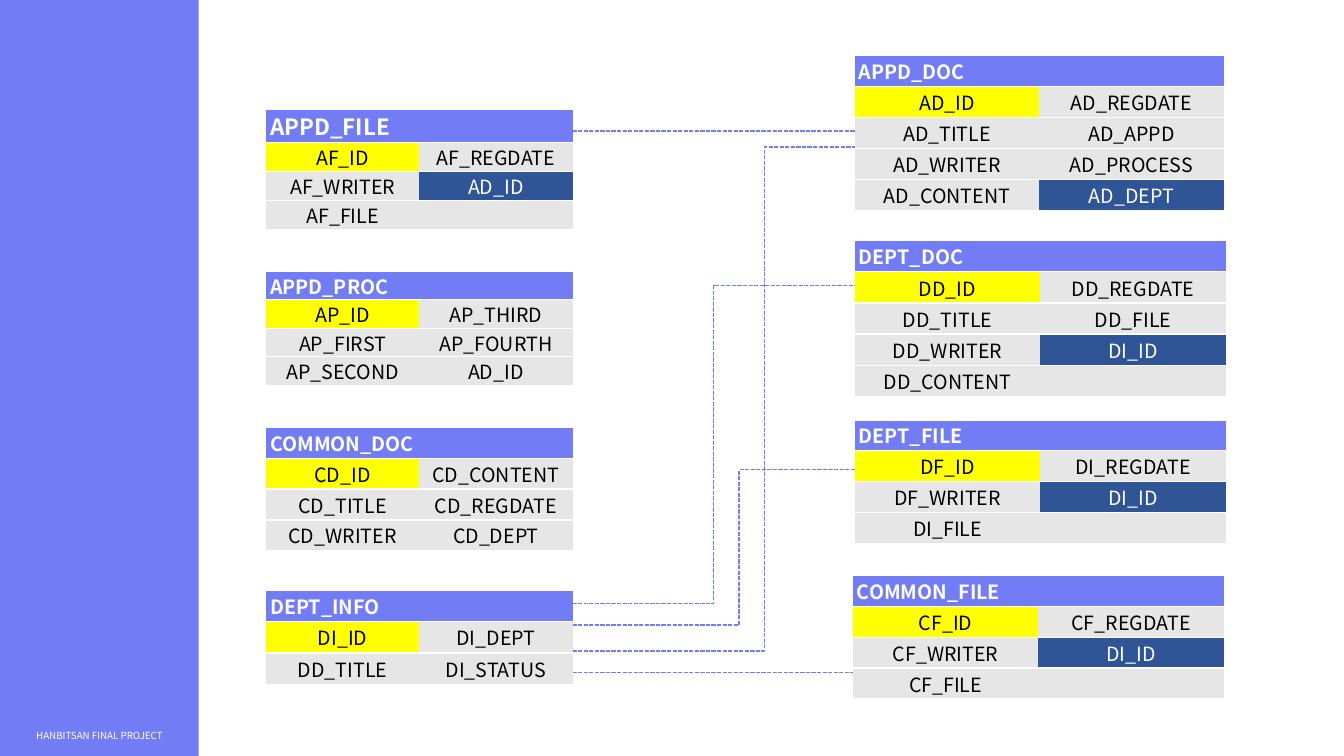
from lxml.etree import SubElement
from pptx import Presentation
from pptx.dml.color import RGBColor
from pptx.enum.dml import MSO_LINE
from pptx.enum.shapes import MSO_CONNECTOR as LINK, MSO_SHAPE as SHAPE
from pptx.enum.text import MSO_ANCHOR as ANCHOR, PP_ALIGN as ALIGN
from pptx.oxml import parse_xml
from pptx.oxml.ns import nsdecls, qn
from pptx.util import Pt

FONT = "Noto Sans CJK KR"
ACCENT, KEY, FOREIGN, PLAIN = "727CF4", "FFFF00", "2F5597", "E7E6E6"
WHITE, BLACK = "FFFFFF", "000000"

# Box, heading size, header height, name and rows; "*" marks a foreign key.
ENTITIES = [
    ((190, 77.8, 219, 86.3), 16, 23.8, "APPD_FILE",
     "AF_ID AF_REGDATE, AF_WRITER *AD_ID, AF_FILE"),
    ((190, 193.7, 219, 81.6), 14, 20.4, "APPD_PROC",
     "AP_ID AP_THIRD, AP_FIRST AP_FOURTH, AP_SECOND AD_ID"),
    ((190, 305.3, 219, 88.2), 14, 22.05, "COMMON_DOC",
     "CD_ID CD_CONTENT, CD_TITLE CD_REGDATE, CD_WRITER CD_DEPT"),
    ((190, 421.6, 219, 67.2), 14, 22.4, "DEPT_INFO",
     "DI_ID DI_DEPT, DD_TITLE DI_STATUS"),
    ((610.6, 39.5, 263.6, 110.8), 14, 22.15, "APPD_DOC",
     "AD_ID AD_REGDATE, AD_TITLE AD_APPD, AD_WRITER AD_PROCESS, AD_CONTENT *AD_DEPT"),
    ((610.6, 172, 265, 111), 14, 22.2, "DEPT_DOC",
     "DD_ID DD_REGDATE, DD_TITLE DD_FILE, DD_WRITER *DI_ID, DD_CONTENT"),
    ((610.6, 300, 265, 88), 14, 22, "DEPT_FILE",
     "DF_ID DI_REGDATE, DF_WRITER *DI_ID, DI_FILE"),
    ((609.2, 411.2, 265, 88), 14, 22, "COMMON_FILE",
     "CF_ID CF_REGDATE, CF_WRITER *DI_ID, CF_FILE"),
]
# Start y, end x, end y and, for a bent link, the share of the way to the bend.
LINKS = [
    (465, 610.6, 105, 0.68),
    (446.4, 610.6, 335.5, 0.59),
    (431.3, 610.6, 203.8, 0.5),
    (480.2, 610.6, 480.2, None),
    (93.6, 621.4, 93.6, None),
]


def color(code):
    """Turn a hex string into a colour."""
    return RGBColor.from_string(code)


def write(frame, text, size=14, ink=BLACK, bold=False, align=ALIGN.CENTER):
    """Write one formatted paragraph; an empty one only keeps its size."""
    para = frame.paragraphs[0]
    para.alignment = align
    if not text:
        SubElement(para._p, qn("a:endParaRPr"), sz=str(size * 100))
        return
    span = para.add_run()
    span.text = text
    span.font.name, span.font.size, span.font.bold = FONT, Pt(size), bold
    span.font.color.rgb = color(ink)
    props = span.font._element
    SubElement(props, qn("a:ea"), typeface=FONT)


def add_sidebar(page, left, top, width, height):
    """Draw the side panel with the project name at its foot."""
    panel = page.shapes.add_shape(SHAPE.RECTANGLE, Pt(left), Pt(top), Pt(width), Pt(height))
    panel.shadow.inherit = False
    panel.fill.solid()
    panel.fill.fore_color.rgb = color(ACCENT)
    panel.line.fill.background()
    foot = 28.8
    box = page.shapes.add_textbox(Pt(left), Pt(top + height - foot), Pt(width), Pt(foot))
    box.text_frame.word_wrap = True
    box.text_frame.vertical_anchor = ANCHOR.MIDDLE
    write(box.text_frame, "HANBITSAN FINAL PROJECT", size=7, ink=WHITE)


def add_link(page, left, start, right, end, bend):
    """Draw a dashed link, bent at the given share of its width if any."""
    kind = LINK.STRAIGHT if bend is None else LINK.ELBOW
    link = page.shapes.add_connector(kind, Pt(left), Pt(start), Pt(right), Pt(end))
    link.line.color.rgb = color(ACCENT)
    link.line.width = Pt(1)
    link.line.dash_style = MSO_LINE.SQUARE_DOT
    props = link.element.spPr
    SubElement(props, qn("a:effectLst"))
    if bend is not None:
        guides = props.find(qn("a:prstGeom")).get_or_add_avLst()
        SubElement(guides, qn("a:gd"), name="adj1", fmla=f"val {round(bend * 100000)}")


def style_cell(cell, fill):
    """Fill a cell and rule it white above and below only."""
    cell.fill.solid()
    cell.fill.fore_color.rgb = color(fill)
    cell.vertical_anchor = ANCHOR.MIDDLE
    cell.margin_left = cell.margin_right = Pt(2.9)
    cell.margin_top = cell.margin_bottom = 0
    rule = f'<a:solidFill><a:srgbClr val="{WHITE}"/></a:solidFill>'
    sides = {"L": "<a:noFill/>", "R": "<a:noFill/>", "T": rule, "B": rule}
    for place, (side, paint) in enumerate(sides.items()):
        border = parse_xml(f'<a:ln{side} {nsdecls("a")} w="12700">{paint}</a:ln{side}>')
        cell._tc.tcPr.insert(place, border)


def add_entity(page, box, size, header, name, fields):
    """Draw one entity: a merged heading over two columns of fields."""
    left, top, width, height = box
    rows = [row.split() for row in fields.split(",")]
    table = page.shapes.add_table(len(rows) + 1, 2, Pt(left), Pt(top),
                                  Pt(width), Pt(height)).table
    table.first_row = table.horz_banding = False
    for column in table.columns:
        column.width = Pt(width / 2)
    for row in table.rows:
        row.height = Pt((height - header) / len(rows))
    table.rows[0].height = Pt(header)

    table.cell(0, 0).merge(table.cell(0, 1))
    for side, text in enumerate((name, "")):
        cell = table.cell(0, side)
        style_cell(cell, ACCENT)
        write(cell.text_frame, text, size=size, ink=WHITE, bold=True, align=ALIGN.LEFT)
    for index, row in enumerate(rows, 1):
        for side in range(2):
            field = row[side] if side < len(row) else ""
            foreign = field.startswith("*")
            primary = (index, side) == (1, 0)
            cell = table.cell(index, side)
            style_cell(cell, KEY if primary else FOREIGN if foreign else PLAIN)
            write(cell.text_frame, field.lstrip("*"), ink=WHITE if foreign else BLACK)


def build_diagram(page):
    """Lay out the sidebar, the links and the entities over them."""
    add_sidebar(page, 0, 0, 142, 540)
    for start, right, end, bend in LINKS:
        add_link(page, 409, start, right, end, bend)
    for entity in ENTITIES:
        add_entity(page, *entity)


deck = Presentation()
deck.slide_width, deck.slide_height = Pt(960), Pt(540)
build_diagram(deck.slides.add_slide(deck.slide_layouts[6]))
deck.save("out.pptx")
